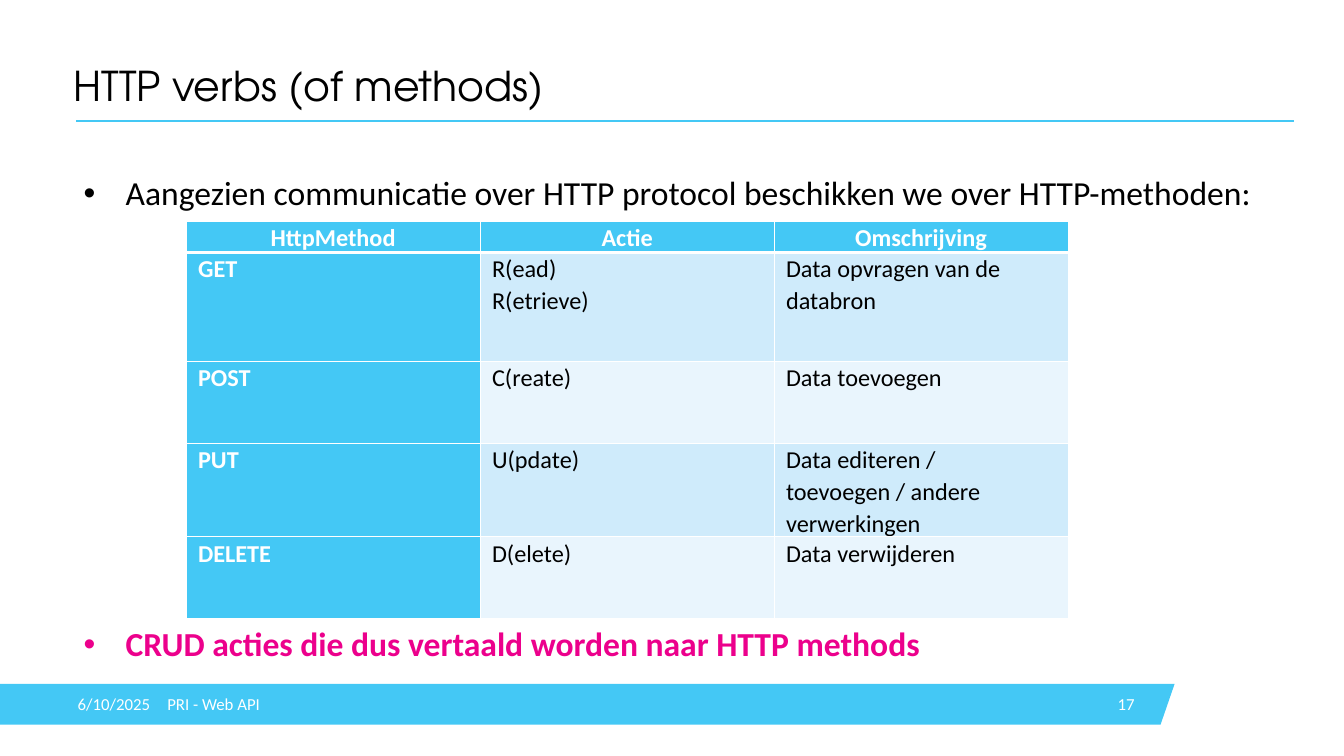
from dataclasses import dataclass

from lxml import etree
from pptx import Presentation
from pptx import util as u
from pptx.dml.color import RGBColor
from pptx.enum import shapes, text
from pptx.oxml import ns

PX = 9525
COLORS = {
    "accent": "44C8F5",
    "band_dark": "CFEBFB",
    "band_light": "E9F5FD",
    "pink": "EC008C",
    "black": "000000",
    "white": "FFFFFF",
}
BODY_FONT = "Calibri"
TITLE_FONT = "TeX Gyre Adventor"


@dataclass(frozen=True)
class Box:
    left: int
    top: int
    width: int
    height: int

    def emu(self) -> list[int]:
        return [px(side) for side in (self.left, self.top, self.width, self.height)]


@dataclass(frozen=True)
class FooterItem:
    words: str
    box: Box
    inset: int = 0
    align: text.PP_ALIGN = text.PP_ALIGN.LEFT


@dataclass(frozen=True)
class Bullet:
    words: str
    color: str
    bold: bool
    gap: int


FOOTER = [
    FooterItem("6/10/2025", Box(111, 977, 128, 58)),
    FooterItem("PRI - Web API", Box(239, 977, 648, 58)),
    FooterItem("17", Box(1526, 977, 105, 58), 10, text.PP_ALIGN.RIGHT),
]
BULLETS = [
    Bullet(
        "Aangezien communicatie over HTTP protocol beschikken we over HTTP-methoden:",
        "black", False, 0,
    ),
    Bullet("CRUD acties die dus vertaald worden naar HTTP methods", "pink", True, 445),
]
METHODS = [
    ("HttpMethod", "Actie", "Omschrijving"),
    ("GET", "R(ead)\vR(etrieve)", "Data opvragen van de databron"),
    ("POST", "C(reate)", "Data toevoegen"),
    ("PUT", "U(pdate)", "Data editeren / toevoegen / andere verwerkingen"),
    ("DELETE", "D(elete)", "Data verwijderen"),
]
ROW_HEIGHTS = [44, 156, 117, 117, 117]
COLUMN_WIDTH = 420


def px(count: int) -> int:
    return count * PX


def rgb(name: str) -> RGBColor:
    return RGBColor.from_string(COLORS[name])


def place(shape, box: Box) -> None:
    shape.left, shape.top, shape.width, shape.height = box.emu()


def style(para, size: int, color: str, name: str = BODY_FONT, bold: bool = False) -> None:
    font = para.font
    font.size, font.name, font.bold = u.Pt(size), name, bold
    font.color.rgb = rgb(color)


def set_insets(frame, side: int, edge: int = 0) -> None:
    frame.margin_left = frame.margin_right = px(side)
    frame.margin_top = frame.margin_bottom = px(edge)


def draw_bar(page) -> None:
    builder = page.shapes.build_freeform(-1, 1035, scale=PX)
    builder.add_line_segments([(-1, 977), (1678, 977), (1658, 1035)], close=True)
    bar = builder.convert_to_shape()
    bar.shadow.inherit = False
    bar.fill.solid()
    bar.fill.fore_color.rgb = rgb("accent")
    bar.line.fill.background()


def draw_rule(page) -> None:
    rule = page.shapes.add_connector(
        shapes.MSO_CONNECTOR.STRAIGHT, px(109), px(173), px(1848), px(173)
    )
    rule.line.color.rgb = rgb("accent")
    rule.line.width = u.Pt(2.25)
    etree.SubElement(rule._element.spPr, ns.qn("a:effectLst"))


def write_title(page) -> None:
    title = page.shapes.title
    place(title, Box(105, 93, 1740, 66))
    frame = title.text_frame
    frame.text = "HTTP verbs (of methods)"
    frame.auto_size = text.MSO_AUTO_SIZE.NONE
    frame.vertical_anchor = text.MSO_ANCHOR.MIDDLE
    set_insets(frame, 0)
    para = frame.paragraphs[0]
    para.alignment = text.PP_ALIGN.LEFT
    para.line_spacing = 0.9
    style(para, 44, "black", TITLE_FONT)


def write_bullets(page) -> None:
    body = page.placeholders[1]
    place(body, Box(110, 247, 1740, 641))
    frame = body.text_frame
    frame.text = "\n".join(bullet.words for bullet in BULLETS)
    frame.auto_size = text.MSO_AUTO_SIZE.NONE
    frame.vertical_anchor = text.MSO_ANCHOR.TOP
    for para, bullet in zip(frame.paragraphs, BULLETS):
        properties = para._p.get_or_add_pPr()
        properties.set("marL", str(px(60)))
        properties.set("indent", str(px(-60)))
        para.line_spacing = 0.9
        para.space_before = u.Pt(bullet.gap)
        style(para, 36, bullet.color, bold=bullet.bold)


def write_footer(page, item: FooterItem) -> None:
    box = page.shapes.add_textbox(*item.box.emu())
    frame = box.text_frame
    frame.word_wrap = True
    frame.vertical_anchor = text.MSO_ANCHOR.MIDDLE
    set_insets(frame, item.inset)
    frame.text = item.words
    para = frame.paragraphs[0]
    para.alignment = item.align
    style(para, 18, "white")


def add_borders(cell, widths: dict[str, int]) -> None:
    properties = cell._tc.get_or_add_tcPr()
    for index, (side, width) in enumerate(widths.items()):
        border = etree.Element(ns.qn(f"a:{side}"), w=str(u.Pt(width)))
        fill = etree.SubElement(border, ns.qn("a:solidFill"))
        etree.SubElement(fill, ns.qn("a:srgbClr"), val=COLORS["white"])
        properties.insert(index, border)


def fill_cell(cell, words: str, row: int, column: int) -> None:
    header = row == 0
    strong = header or column == 0
    band = "band_dark" if row % 2 else "band_light"
    cell.fill.solid()
    cell.fill.fore_color.rgb = rgb("accent" if strong else band)
    add_borders(cell, {
        "lnL": 1,
        "lnR": 1,
        "lnT": 3 if row == 1 else 1,
        "lnB": 3 if header else 1,
    })
    set_insets(cell, 17)
    cell.text_frame.text = words
    para = cell.text_frame.paragraphs[0]
    para.alignment = text.PP_ALIGN.CENTER if header else text.PP_ALIGN.LEFT
    para.line_spacing = 1.07
    style(para, 26, "white" if strong else "black", bold=strong)


def draw_table(page) -> None:
    columns = len(METHODS[0])
    box = Box(266, 316, columns * COLUMN_WIDTH, sum(ROW_HEIGHTS))
    table = page.shapes.add_table(len(METHODS), columns, *box.emu()).table
    table.first_col = True
    for column in table.columns:
        column.width = px(COLUMN_WIDTH)
    for row, (method, height) in enumerate(zip(METHODS, ROW_HEIGHTS)):
        table.rows[row].height = px(height)
        for column, words in enumerate(method):
            fill_cell(table.cell(row, column), words, row, column)


def main() -> None:
    deck = Presentation()
    deck.slide_width, deck.slide_height = px(1920), px(1080)
    page = deck.slides.add_slide(deck.slide_layouts[1])
    draw_bar(page)
    draw_rule(page)
    write_title(page)
    write_bullets(page)
    for item in FOOTER:
        write_footer(page, item)
    draw_table(page)
    deck.save("out.pptx")


if __name__ == "__main__":
    main()
